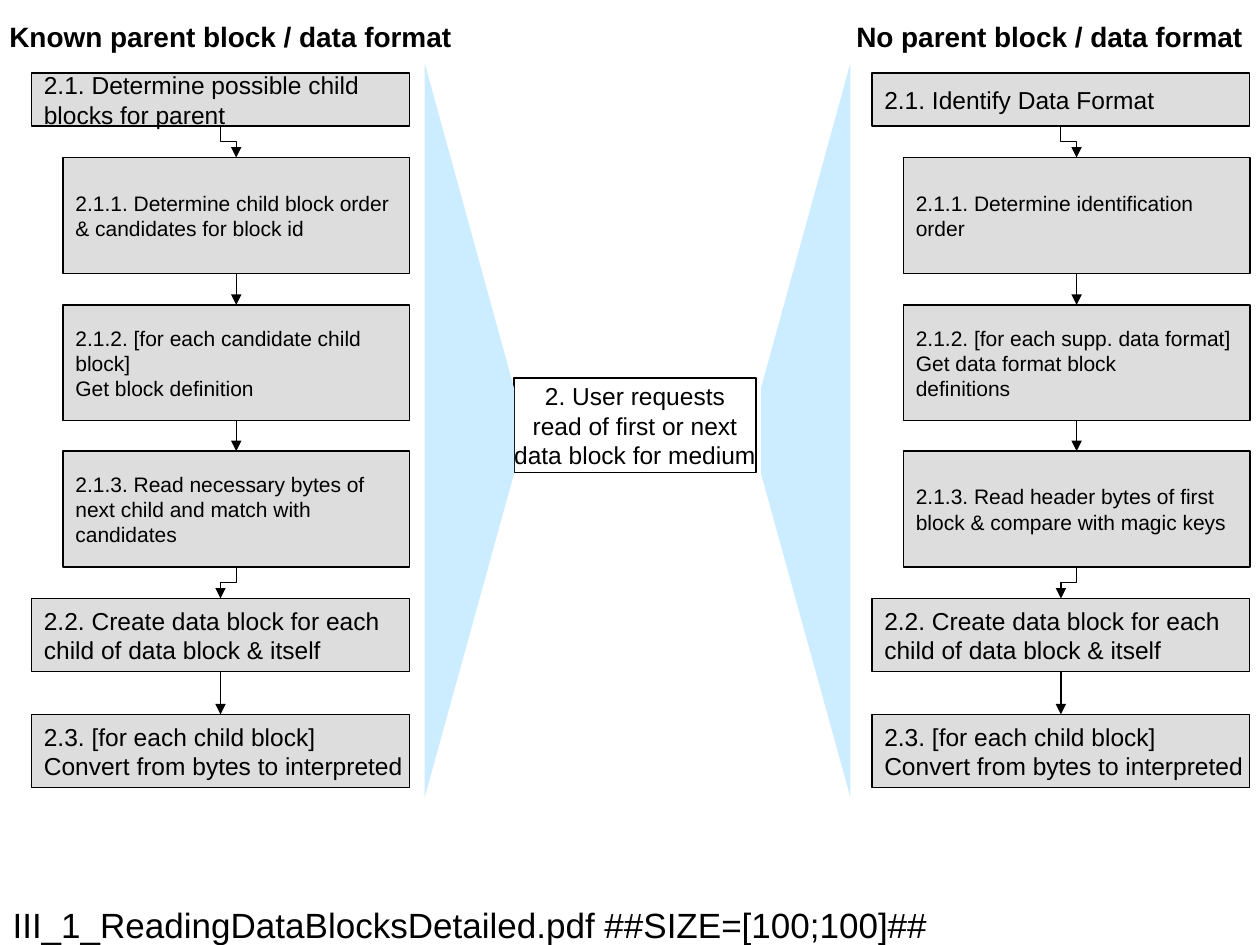
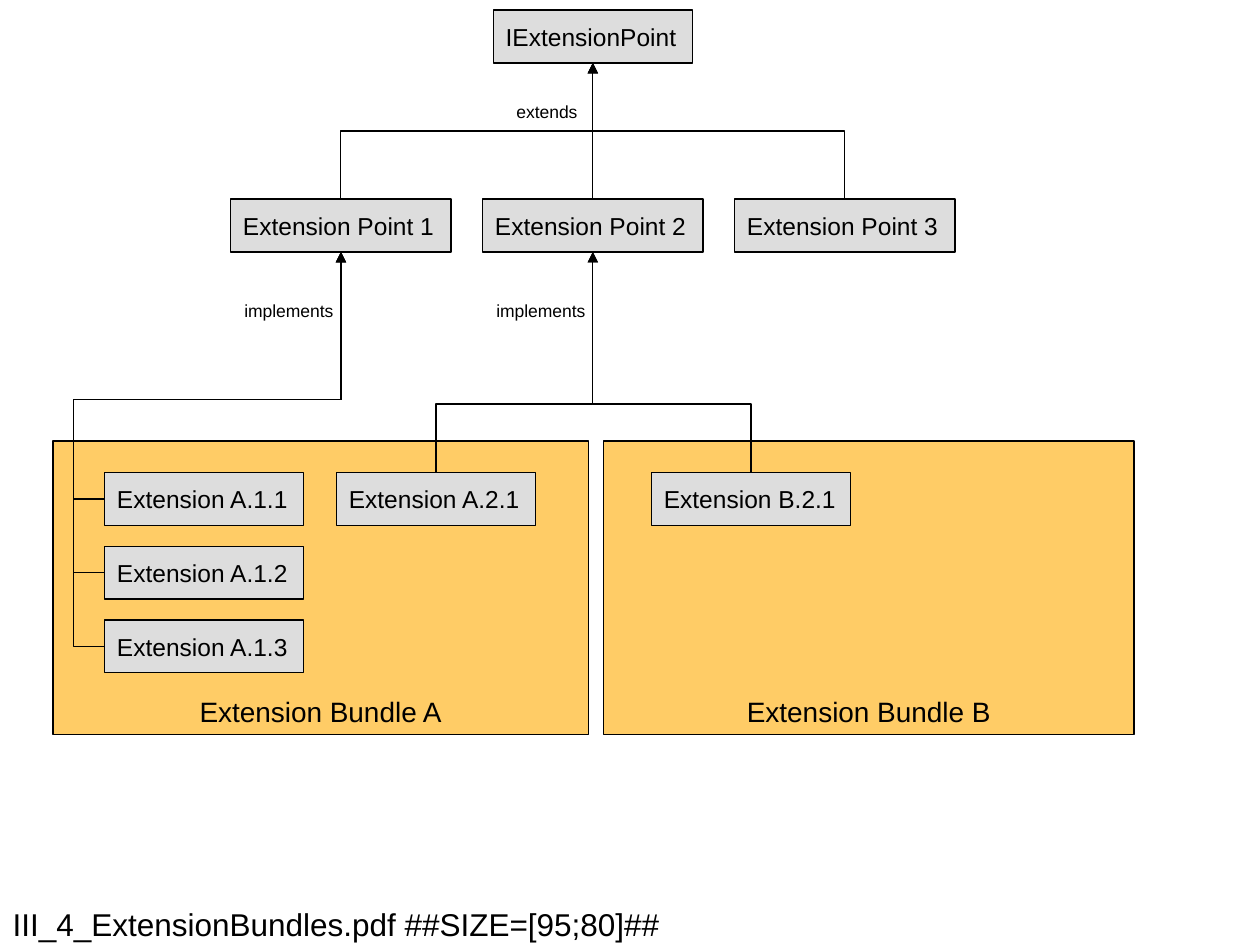
from copy import deepcopy

from lxml.etree import SubElement
from pptx import Presentation
from pptx.dml.color import RGBColor
from pptx.enum.shapes import MSO_CONNECTOR as Connector, MSO_SHAPE as Shape
from pptx.enum.text import MSO_ANCHOR as Anchor, MSO_AUTO_SIZE as AutoSize, PP_ALIGN as Align
from pptx.oxml.ns import qn
from pptx.util import Inches, Pt

BLACK = RGBColor(0x00, 0x00, 0x00)
BOX_GREY = RGBColor(0xDD, 0xDD, 0xDD)
BUNDLE_ORANGE = RGBColor(0xFF, 0xCC, 0x66)
WEDGE_BLUE = RGBColor(0xCC, 0xEC, 0xFF)
FONT = "Arial"
LINE_WIDTH = Pt(0.75)
TOP, LEFT, BOTTOM = 0, 1, 2  # connection sites of a rectangle

BOX_HEIGHT = 0.42
EXTENSION_WIDTH = 1.58
POINT_WIDTH = 1.75
POINT_PITCH = 2
# indent, top, width, height and text size of each step, relative to its column
STEP_LAYOUT = [
    (0, 0, 3, 0.42, 14),
    (0.25, 0.67, 2.75, 0.92, 12),
    (0.25, 1.84, 2.75, 0.92, 12),
    (0.25, 3, 2.75, 0.92, 12),
    (0, 4.17, 3, 0.58, 14),
    (0, 5.09, 3, 0.58, 14),
]
FINAL_STEPS = [
    "2.2. Create data block for each\nchild of data block & itself",
    "2.3. [for each child block]\nConvert from bytes to interpreted",
]
KNOWN_PARENT_STEPS = [
    "2.1. Determine possible child\nblocks for parent",
    "2.1.1. Determine child block order\n& candidates for block id",
    "2.1.2. [for each candidate child\nblock]\nGet block definition",
    "2.1.3. Read necessary bytes of\nnext child and match with\ncandidates",
    *FINAL_STEPS,
]
NO_PARENT_STEPS = [
    "2.1. Identify Data Format",
    "2.1.1. Determine identification\norder",
    "2.1.2. [for each supp. data format]\nGet data format block\ndefinitions",
    "2.1.3. Read header bytes of first\nblock & compare with magic keys",
    *FINAL_STEPS,
]


def write_text(shape, text, size=14, bold=False, align=Align.LEFT,
               anchor=Anchor.MIDDLE, wrap=False):
    frame = shape.text_frame
    frame.word_wrap = wrap
    frame.auto_size = AutoSize.NONE
    frame.vertical_anchor = anchor
    paragraph = frame.paragraphs[0]
    paragraph.text = text
    paragraph.alignment = align
    for run in paragraph.runs:
        run.font.name = FONT
        run.font.size = Pt(size)
        run.font.bold = bold
        run.font.color.rgb = BLACK
    for line_break in paragraph._p.findall(qn("a:br")):
        line_break.append(deepcopy(paragraph._p.r_lst[0].rPr))


def add_box(slide, left, top, width, height, text, fill=BOX_GREY, **text_format):
    box = slide.shapes.add_shape(
        Shape.RECTANGLE, Inches(left), Inches(top), Inches(width), Inches(height))
    box.shadow.inherit = False
    if fill is None:
        box.fill.background()
    else:
        box.fill.solid()
        box.fill.fore_color.rgb = fill
    box.line.color.rgb = BLACK
    box.line.width = LINE_WIDTH
    write_text(box, text, **text_format)
    return box


def add_label(slide, left, top, width, height, text, **text_format):
    label = slide.shapes.add_textbox(
        Inches(left), Inches(top), Inches(width), Inches(height))
    write_text(label, text, **text_format)


def add_title_slide(presentation, title_text, size):
    """Add a slide whose title is a caption along the bottom edge."""
    slide = presentation.slides.add_slide(presentation.slide_layouts[5])
    title = slide.shapes.title
    title.left, title.top = Inches(0), Inches(7.17)
    title.width, title.height = Inches(10), Inches(0.33)
    write_text(title, title_text, size=size, wrap=True)
    return slide


def connect(slide, start, end, start_site=BOTTOM, end_site=TOP, kind=Connector.STRAIGHT):
    """Glue an arrow between sites of two boxes."""
    arrow = slide.shapes.add_connector(kind, 0, 0, 0, 0)
    arrow.begin_connect(start, start_site)
    arrow.end_connect(end, end_site)
    arrow.line.color.rgb = BLACK
    arrow.line.width = LINE_WIDTH
    properties = arrow._element.spPr
    SubElement(properties.find(qn("a:ln")), qn("a:tailEnd"), type="triangle")
    SubElement(properties, qn("a:effectLst"))
    return arrow


def set_bends(arrow, preset, rotation, flip_h, flip_v, *adjustments):
    properties = arrow._element.spPr
    transform = properties.find(qn("a:xfrm"))
    transform.set("rot", str(rotation * 60000))
    transform.set("flipH", str(int(flip_h)))
    transform.set("flipV", str(int(flip_v)))
    geometry = properties.find(qn("a:prstGeom"))
    geometry.set("prst", preset)
    guides = geometry.find(qn("a:avLst"))
    for number, fraction in enumerate(adjustments, start=1):
        SubElement(guides, qn("a:gd"), name=f"adj{number}",
                   fmla=f"val {round(fraction * 100000)}")


def connect_vertically(slide, start, end, start_site=BOTTOM, end_site=TOP, bend=0.5):
    """Draw an arrow that leaves and arrives vertically, with a level middle part."""
    arrow = connect(slide, start, end, start_site, end_site, Connector.ELBOW)
    across, down = arrow.end_x - arrow.begin_x, arrow.end_y - arrow.begin_y
    center_x = (arrow.begin_x + arrow.end_x) // 2
    center_y = (arrow.begin_y + arrow.end_y) // 2
    arrow.width, arrow.height = abs(down), abs(across)
    arrow.left, arrow.top = center_x - abs(down) // 2, center_y - abs(across) // 2
    rotation = 90 if (across > 0) == (down < 0) else 270
    set_bends(arrow, "bentConnector3", rotation, across > 0, down < 0, bend)


def connect_around(slide, start, end, margin, level):
    """Leave to the left by margin, rise to level and arrive from below."""
    arrow = connect(slide, start, end, LEFT, BOTTOM, Connector.ELBOW)
    bend_x = -Inches(margin) / arrow.width
    bend_y = (arrow.begin_y - Inches(level)) / arrow.height
    set_bends(arrow, "bentConnector4", 180, True, False, bend_x, bend_y)


def add_step_column(slide, left, top, steps):
    boxes = [
        add_box(slide, left + indent, top + offset, width, height, text, size=size)
        for text, (indent, offset, width, height, size) in zip(steps, STEP_LAYOUT)
    ]
    for upper, lower, layout, next_layout in zip(
            boxes, boxes[1:], STEP_LAYOUT, STEP_LAYOUT[1:]):
        draw = connect if layout[0] == next_layout[0] else connect_vertically
        draw(slide, upper, lower)


def add_wedge(slide, wide_x, narrow_x):
    """Widen from the request box to the full height of a step column."""
    builder = slide.shapes.build_freeform(
        Inches(wide_x), Inches(0.5), scale=1.0)
    builder.add_line_segments(
        [(Inches(x), Inches(y))
         for x, y in [(narrow_x, 3.08), (narrow_x, 3.76), (wide_x, 6.33)]], close=True)
    wedge = builder.convert_to_shape()
    wedge.shadow.inherit = False
    wedge.fill.solid()
    wedge.fill.fore_color.rgb = WEDGE_BLUE
    wedge.line.fill.background()


def add_bundle(slide, left, top, width, name, first_column, columns):
    """Draw a bundle with columns of extensions; return the boxes by column."""
    add_box(slide, left, top, width, 2.33, name, fill=BUNDLE_ORANGE, size=16,
            align=Align.CENTER, anchor=Anchor.BOTTOM)
    return [
        [add_box(slide, left + first_column + 1.84 * column, top + 0.25 + 0.585 * row,
                 EXTENSION_WIDTH, BOX_HEIGHT, extension)
         for row, extension in enumerate(extensions)]
        for column, extensions in enumerate(columns)
    ]


def add_extension_points(slide, left, top):
    """Draw the interface over the three points that extend it; return the points."""
    interface_left = left + POINT_PITCH + (POINT_WIDTH - EXTENSION_WIDTH) / 2
    interface = add_box(slide, interface_left, top, EXTENSION_WIDTH, BOX_HEIGHT,
                        "IExtensionPoint")
    points = [
        add_box(slide, left + POINT_PITCH * index, top + 1.5, POINT_WIDTH, BOX_HEIGHT,
                f"Extension Point {index + 1}")
        for index in range(3)
    ]
    for point, draw in zip(points, (connect_vertically, connect, connect_vertically)):
        draw(slide, point, interface, TOP, BOTTOM)
    for offset, label_top, width, text in [
            (2.17, 0.67, 0.72, "extends"),
            (0.01, 2.25, 0.95, "implements"),
            (0.01 + POINT_PITCH, 2.25, 0.95, "implements")]:
        add_label(slide, left + offset, top + label_top, width, 0.27, text, size=10,
                  anchor=Anchor.TOP)
    return points


def build_reading_slide(presentation):
    slide = add_title_slide(
        presentation, "III_1_ReadingDataBlocksDetailed.pdf ##SIZE=[100;100]##", 20)
    add_box(slide, 4.08, 3, 1.92, 0.75,
            "2. User requests\nread of first or next\ndata block for medium",
            fill=None, align=Align.CENTER)
    add_wedge(slide, 6.75, 6.04)
    add_wedge(slide, 3.37, 4.08)
    for left, heading_left, heading, steps in [
            (0.25, 0.08, "Known parent block / data format", KNOWN_PARENT_STEPS),
            (6.92, 6.58, "No parent block / data format", NO_PARENT_STEPS)]:
        add_label(slide, heading_left, 0.08, 3.5, 0.42, heading, size=16, bold=True,
                  align=Align.CENTER)
        add_step_column(slide, left, 0.58, steps)


def build_bundles_slide(presentation):
    slide = add_title_slide(
        presentation, "III_4_ExtensionBundles.pdf ##SIZE=[95;80]##", 18)
    first_point, second_point, _ = add_extension_points(slide, 1.83, 0.08)
    first_extensions, [extension_a] = add_bundle(
        slide, 0.42, 3.5, 4.25, "Extension Bundle A", 0.41,
        [[f"Extension A.1.{number}" for number in range(1, 4)], ["Extension A.2.1"]])
    [[extension_b]] = add_bundle(
        slide, 4.79, 3.5, 4.21, "Extension Bundle B", 0.38, [["Extension B.2.1"]])
    for extension in first_extensions:
        connect_around(slide, extension, first_point, margin=0.25, level=3.17)
    for extension in (extension_a, extension_b):
        connect_vertically(slide, extension, second_point, TOP, BOTTOM, bend=0.31)


def main():
    presentation = Presentation()
    presentation.slide_width = Inches(10)
    presentation.slide_height = Inches(7.5)
    build_reading_slide(presentation)
    build_bundles_slide(presentation)
    presentation.save("out.pptx")


if __name__ == "__main__":
    main()
